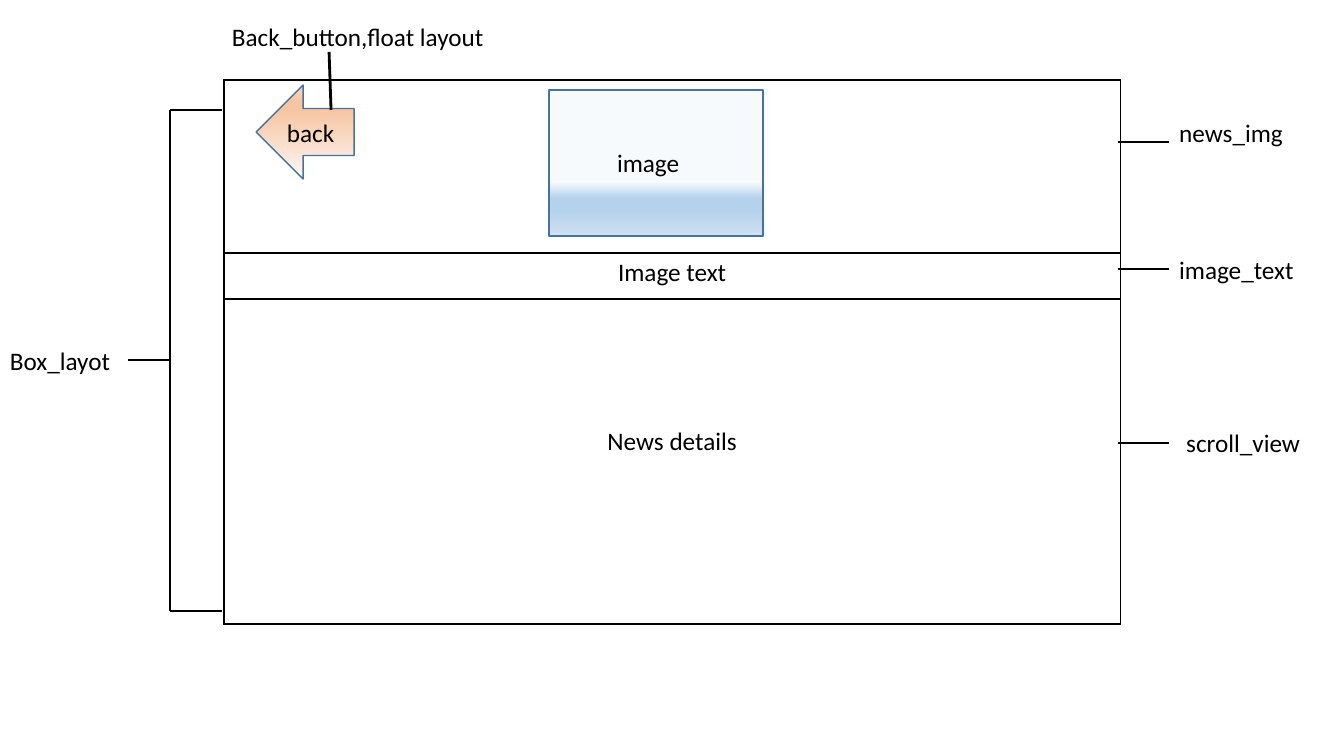
from copy import deepcopy

from lxml import etree
from pptx import Presentation
from pptx.dml.color import RGBColor
from pptx.enum.shapes import MSO_CONNECTOR, MSO_SHAPE
from pptx.enum.text import MSO_AUTO_SIZE, PP_ALIGN
from pptx.oxml.ns import qn
from pptx.util import Emu, Inches, Pt

STRAIGHT = MSO_CONNECTOR.STRAIGHT
RECTANGLE, RIGHT_ARROW = MSO_SHAPE.RECTANGLE, MSO_SHAPE.RIGHT_ARROW
FIT_SHAPE, CENTER = MSO_AUTO_SIZE.SHAPE_TO_FIT_TEXT, PP_ALIGN.CENTER

FONT, TEXT_SIZE = "Calibri", 18
COLORS = {"ink": "000000", "outline": "43739E"}
IMAGE_STOPS = [(63, "F7FAFD"), (74, "B5D2EC"), (83, "B5D2EC"), (100, "CEE1F2")]
BACK_STOPS = [(0, "FEF8F5"), (74, "F7C5A2"), (83, "F7C5A2"), (100, "FAD8C1")]

# Screen sections: text, height, space above the text
SCREEN_LEFT, SCREEN_TOP, SCREEN_WIDTH = 224, 80, 896
SECTIONS = [("", 173, 5), ("Image text", 46, 5), ("News details", 325, 128)]

# Labels: text, left, top, width
LABEL_HEIGHT = 40
LABELS = [
    ("image", 607, 142, 99),
    ("Box_layot", 0, 340, 128),
    ("news_img", 1169, 112, 139),
    ("image_text", 1169, 249, 155),
    ("scroll_view", 1176, 422, 156),
    ("back", 277, 112, 72),
    ("Back_button,float layout", 222, 16, 293),
]

# Bracket and pointers
BRACKET_X, BRACKET_END, BRACKET_TOP, BRACKET_BOTTOM = 170, 222, 110, 611
BRACKET_MIDDLE = (BRACKET_TOP + BRACKET_BOTTOM) // 2
SECTION_POINTERS = [142, 269, 443]
LINES = [
    (BRACKET_END, BRACKET_TOP, BRACKET_X, BRACKET_TOP),
    (BRACKET_END, BRACKET_BOTTOM, BRACKET_X, BRACKET_BOTTOM),
    (BRACKET_X, BRACKET_TOP, BRACKET_X, BRACKET_BOTTOM),
    (BRACKET_X, BRACKET_MIDDLE, 128, BRACKET_MIDDLE),
    (331, 110, 329, 52),
] + [(1169, y, 1118, y) for y in SECTION_POINTERS]


def px(value):
    """Turn pixels into EMU."""
    return Emu(round(value * 914400 / 100.8))


def color(name):
    """Look up a named colour."""
    return RGBColor.from_string(COLORS[name])


def write(frame, text):
    """Put formatted text into a text frame."""
    frame.text = text
    for span in frame.paragraphs[0].runs:
        span.font.name = FONT
        span.font.size = Pt(TEXT_SIZE)
        span.font.color.rgb = color("ink")


def add_borders(cell):
    """Draw a thin line on all four sides of a cell."""
    properties = cell._tc.get_or_add_tcPr()
    for index, side in enumerate(("lnL", "lnR", "lnT", "lnB")):
        line = etree.Element(qn("a:" + side), w=str(Pt(1)))
        fill = etree.SubElement(line, qn("a:solidFill"))
        etree.SubElement(fill, qn("a:srgbClr"), val=COLORS["ink"])
        properties.insert(index, line)


def add_screen(page):
    """Add the table that outlines the screen sections."""
    height = sum(section[1] for section in SECTIONS)
    table = page.shapes.add_table(
        len(SECTIONS), 1, px(SCREEN_LEFT), px(SCREEN_TOP), px(SCREEN_WIDTH), px(height)
    ).table
    table.first_row = table.horz_banding = False
    for index, (text, row_height, space_above) in enumerate(SECTIONS):
        table.rows[index].height = px(row_height)
        cell = table.cell(index, 0)
        cell.margin_top = px(space_above)
        write(cell.text_frame, text)
        cell.text_frame.paragraphs[0].alignment = CENTER
        cell.fill.background()
        add_borders(cell)


def add_gradient_shape(page, kind, place, stops):
    """Add an outlined shape with a top-to-bottom gradient."""
    shape = page.shapes.add_shape(kind, *map(px, place))
    shape.shadow.inherit = False
    shape.line.color.rgb = color("outline")
    shape.line.width = Pt(1)
    shape.fill.gradient()
    shape.fill.gradient_angle = 270
    stop_list = next(shape.element.iter(qn("a:gsLst")))
    while len(stop_list) < len(stops):
        stop_list.append(deepcopy(stop_list[0]))
    for stop, (percent, hex_color) in zip(shape.fill.gradient_stops, stops):
        stop.position = percent / 100
        stop.color.rgb = RGBColor.from_string(hex_color)
    return shape


def add_line(page, ends):
    """Add a straight black line."""
    line = page.shapes.add_connector(STRAIGHT, *map(px, ends))
    line.line.color.rgb = color("ink")
    line.line.width = Pt(2)
    etree.SubElement(line.element.spPr, qn("a:effectLst"))


def add_label(page, text, left, top, width):
    """Add a text label."""
    box = page.shapes.add_textbox(px(left), px(top), px(width), px(LABEL_HEIGHT))
    box.text_frame.word_wrap = True
    box.text_frame.auto_size = FIT_SHAPE
    write(box.text_frame, text)


deck = Presentation()
deck.slide_width, deck.slide_height = Inches(13.33), Inches(7.5)
page = deck.slides.add_slide(deck.slide_layouts[6])

add_screen(page)
add_gradient_shape(page, RECTANGLE, (549, 90, 214, 146), IMAGE_STOPS)
back_arrow = add_gradient_shape(page, RIGHT_ARROW, (256, 85, 98, 94), BACK_STOPS)
back_arrow.rotation = 180
for ends in LINES:
    add_line(page, ends)
for label in LABELS:
    add_label(page, *label)

deck.save("out.pptx")
